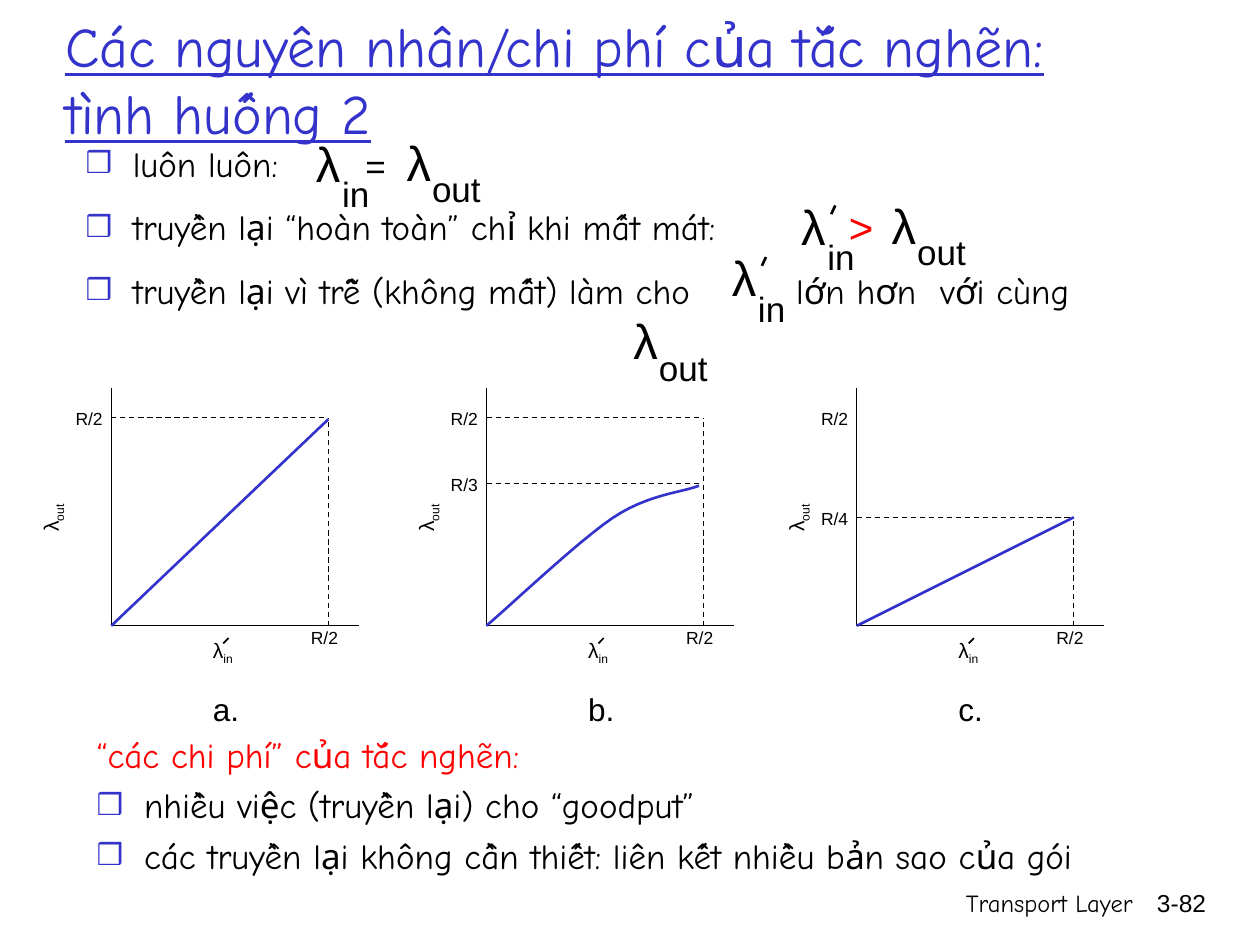
from lxml import etree
from pptx import Presentation
from pptx.dml.color import RGBColor
from pptx.enum.dml import MSO_LINE
from pptx.enum.shapes import MSO_CONNECTOR
from pptx.enum.text import MSO_ANCHOR, MSO_AUTO_SIZE, PP_ALIGN
from pptx.oxml.ns import qn
from pptx.util import Pt

LEFT, CENTER, RIGHT = PP_ALIGN.LEFT, PP_ALIGN.CENTER, PP_ALIGN.RIGHT
MIDDLE = MSO_ANCHOR.MIDDLE
GROW = MSO_AUTO_SIZE.SHAPE_TO_FIT_TEXT
STRAIGHT = MSO_CONNECTOR.STRAIGHT
DASH = MSO_LINE.DASH

HAND, SANS = "Comic Neue", "Arial"
BLACK, BLUE, RED = "000000", "3333CC", "FF0000"


def rgb(color):
    return RGBColor.from_string(color)


def add_run(paragraph, words, size, font, color, underline=None, subscript=False, spacing=None):
    run = paragraph.add_run()
    run.text = words
    run.font.size, run.font.name = Pt(size), font
    run.font.color.rgb = rgb(color)
    run.font.underline = underline
    if subscript:
        run.font._element.set("baseline", "-25000")
    if spacing:
        run.font._element.set("spc", str(spacing * 100))


def add_text(slide, box, words, size=20, font=SANS, color=BLACK, align=LEFT,
             wrap=False, rotation=0, sub=None):
    """Place one line of text, with an optional subscript after it."""
    shape = slide.shapes.add_textbox(*map(Pt, box))
    shape.rotation = rotation
    frame = shape.text_frame
    frame.word_wrap = wrap
    if not wrap:
        frame.auto_size = GROW
    paragraph = frame.paragraphs[0]
    paragraph.alignment = align
    add_run(paragraph, words, size, font, color)
    if sub:
        add_run(paragraph, sub, size, font, color, subscript=True)


def add_line(slide, start, end, width=0.75, color=BLACK, dashed=False):
    line = slide.shapes.add_connector(STRAIGHT, *map(Pt, (*start, *end)))
    line.line.width = Pt(width)
    line.line.color.rgb = rgb(color)
    if dashed:
        line.line.dash_style = DASH
    etree.SubElement(line._element.spPr, qn("a:effectLst"))


def set_bullet(paragraph):
    properties = paragraph._p.get_or_add_pPr()
    properties.set("marL", str(Pt(27)))
    properties.set("indent", str(-Pt(27)))
    color = etree.SubElement(properties, qn("a:buClr"))
    etree.SubElement(color, qn("a:srgbClr"), val=BLUE)
    etree.SubElement(properties, qn("a:buSzPct"), val="85000")
    etree.SubElement(properties, qn("a:buFont"), typeface=SANS)
    etree.SubElement(properties, qn("a:buChar"), char="❒")


def add_list(slide, box, items, line_spacing=None):
    """Items are (parts, color, bulleted); a number among the parts is a gap in points."""
    frame = slide.shapes.add_textbox(*map(Pt, box)).text_frame
    frame.word_wrap = True
    for index, (parts, color, bulleted) in enumerate(items):
        paragraph = frame.add_paragraph() if index else frame.paragraphs[0]
        if bulleted:
            set_bullet(paragraph)
        if index:
            paragraph.space_before = Pt(5)
            if line_spacing:
                paragraph.line_spacing = line_spacing
        for part in parts:
            if isinstance(part, str):
                add_run(paragraph, part, 20, HAND, color)
            else:
                add_run(paragraph, " ", 20, HAND, color, spacing=part)


def add_title(slide, box, words):
    title = slide.shapes.title
    title.left, title.top, title.width, title.height = map(Pt, box)
    frame = title.text_frame
    frame.word_wrap = True
    frame.vertical_anchor = MIDDLE
    frame.paragraphs[0].alignment = LEFT
    add_run(frame.paragraphs[0], words, 32, HAND, BLUE, underline=True)


def add_lambda(slide, left, top, sub, prime=False):
    add_text(slide, (left, top, 29.5, 41), "λ", size=28, align=CENTER)
    dx, dy, width = {"in": (15.3, 22.5, 30.5), "out": (15.2, 20.4, 42)}[sub]
    add_text(slide, (left + dx, top + dy, width, 31.5), sub, align=CENTER)
    if prime:
        add_line(slide, (left + 25, top + 13.7), (left + 27.3, top + 8.7), 1.5)


def add_formulas(slide):
    add_lambda(slide, 172.8, 72.7, "in")
    add_text(slide, (201.6, 79.2, 26, 31.5), "=", align=CENTER)
    add_lambda(slide, 224.6, 72, "out")

    add_lambda(slide, 450, 108.7, "in", prime=True)
    add_text(slide, (478, 111.6, 28, 36), ">", size=24, color=RED, align=CENTER)
    add_lambda(slide, 501.8, 108, "out")

    add_lambda(slide, 410.4, 138.2, "in", prime=True)
    add_lambda(slide, 354.2, 174.2, "out")


def bezier(p0, p1, p2, p3, steps=12):
    """Points along a cubic curve, without its first point."""
    for step in range(1, steps + 1):
        t = step / steps
        u = 1 - t
        yield tuple(u**3 * a + 3 * u * u * t * b + 3 * u * t * t * c + t**3 * d
                    for a, b, c, d in zip(p0, p1, p2, p3))


def add_curve(slide, points):
    start, *rest = [(Pt(x), Pt(y)) for x, y in points]
    builder = slide.shapes.build_freeform(*start)
    builder.add_line_segments(rest, close=False)
    curve = builder.convert_to_shape()
    curve.shadow.inherit = False
    curve.fill.background()
    curve.line.color.rgb = rgb(BLUE)
    curve.line.width = Pt(1.5)


def add_plot(slide, box, letter, levels, limit, curve):
    """Levels are (label, height, dashed); limit is the height of the upright dashes."""
    left, top, width, height = box
    base = top + height
    half = 124

    add_line(slide, (left, top), (left, base))
    add_line(slide, (left, base), (left + width, base))
    for label, level, dashed in levels:
        add_text(slide, (left - 27.5, base - level - 9, 30.5, 19.4), label, size=10)
        if dashed:
            add_line(slide, (left, base - level), (left + half - 2, base - level), dashed=True)
    add_line(slide, (left + half, base), (left + half, base - limit), dashed=True)
    add_text(slide, (left + 107, base - 2.6, 30.5, 19.4), "R/2", size=10)

    points = [(left + x, base - y) for x, y in curve]
    if len(points) == 2:
        add_line(slide, *points, width=1.5, color=BLUE)
    else:
        add_curve(slide, points)

    add_text(slide, (left + 51, base + 3, 26, 24), "λ", size=12, sub="in")
    add_line(slide, (left + 64, base + 10), (left + 67, base + 7), 1)
    add_text(slide, (left - 49.7, top + 61, 32.4, 24), "λ", size=12, sub="out",
             wrap=True, rotation=270)
    add_text(slide, (left + 51, base + 33.4, 29.5, 29), letter, size=18)


def add_plots(slide):
    half, third, quarter = 119, 81.5, 62
    saturating = [(0, 0),
                  *bezier((0, 0), (12, 10), (52, 48), (72, 61.5)),
                  *bezier((72, 61.5), (92, 75), (111, 76), (121.5, 80))]
    plots = [
        (63.6, "a.", [("R/2", half, True)], half, [(0, 0), (124, 118)]),
        (278, "b.", [("R/2", half, True), ("R/3", third, True)], half, saturating),
        (489.6, "c.", [("R/2", half, False), ("R/4", quarter, True)], quarter,
         [(0, 0), (124, 62)]),
    ]
    for left, *content in plots:
        add_plot(slide, (left, 221.8, 141.5, 135.8), *content)


def add_footer(slide):
    add_text(slide, (426.2, 504, 228.2, 36), "Transport Layer", size=14, font=HAND,
             align=RIGHT, wrap=True)
    add_text(slide, (643, 504, 53.3, 36), "3-82", size=14, align=RIGHT, wrap=True)


def main():
    deck = Presentation()
    deck.slide_width, deck.slide_height = Pt(720), Pt(540)
    slide = deck.slides.add_slide(deck.slide_layouts[5])
    add_title(slide, (30, 0, 612, 90), "Các nguyên nhân/chi phí của tắc nghẽn: tình huống 2")
    add_list(slide, (41.8, 77.8, 656, 151), [
        (["luôn luôn:"], BLACK, True),
        (["truyền lại “hoàn toàn” chỉ khi mất mát:"], BLACK, True),
        (["truyền lại vì trễ (không mất) làm cho", 54, "lớn hơn", 7, "với cùng"], BLACK, True),
    ], line_spacing=1.3)
    add_formulas(slide)
    add_plots(slide)
    add_list(slide, (48.2, 415.4, 641.5, 77.8), [
        (["“các chi phí” của tắc nghẽn:"], RED, False),
        (["nhiều việc (truyền lại) cho “goodput”"], BLACK, True),
        (["các truyền lại không cần thiết: liên kết nhiều bản sao của gói"], BLACK, True),
    ])
    add_footer(slide)
    deck.save("out.pptx")


if __name__ == "__main__":
    main()
